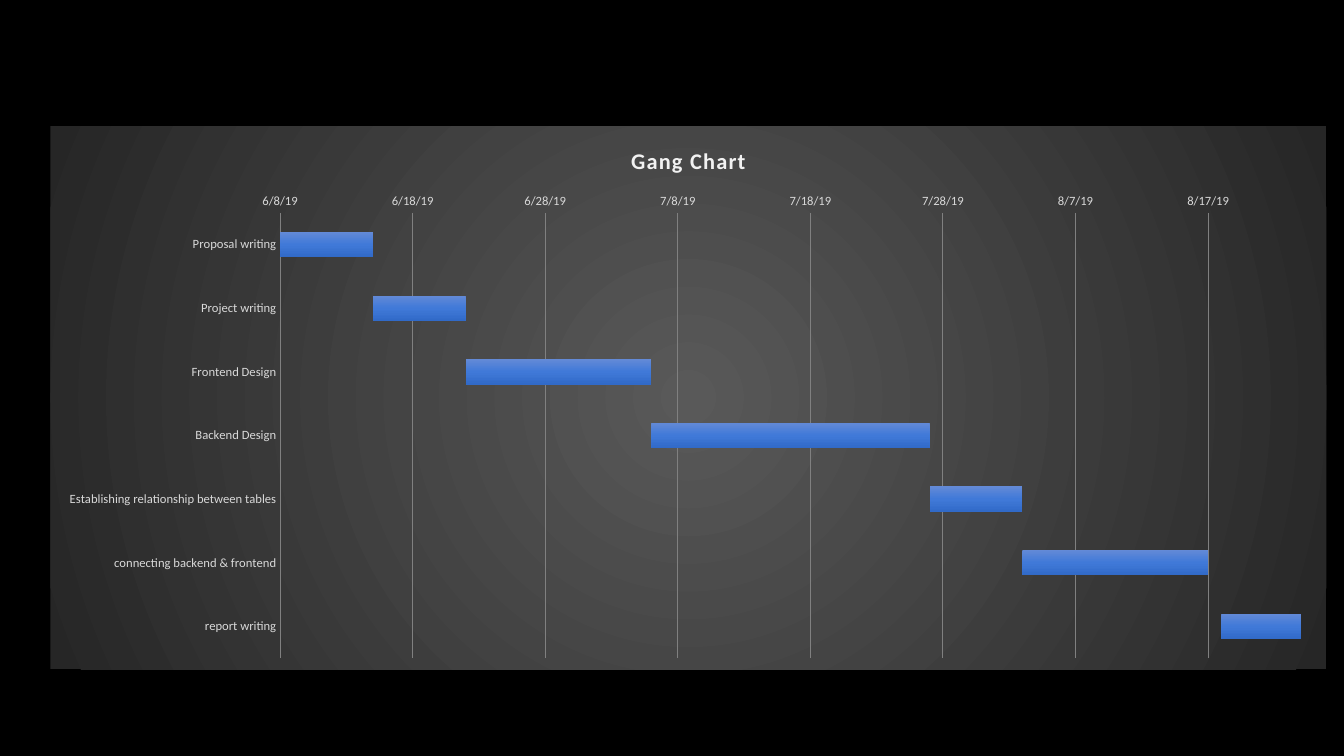
"""Build a slide with a Gantt chart of project tasks on a dark background."""
from lxml.etree import SubElement
from pptx import Presentation
from pptx.chart.data import CategoryChartData
from pptx.dml.color import RGBColor
from pptx.enum.chart import XL_CHART_TYPE, XL_TICK_MARK
from pptx.oxml import parse_xml
from pptx.oxml.ns import nsdecls, qn
from pptx.util import Pt

TITLE = "Gang Chart"
TASKS = [
    ("Proposal writing", 43624, 7),
    ("Project writing", 43631, 7),
    ("Frontend Design", 43638, 14),
    ("Backend Design", 43652, 21),
    ("Establishing relationship between tables", 43673, 7),
    ("connecting backend & frontend", 43680, 14),
    ("report writing", 43695, 7),
]
FIRST_DAY, LAST_DAY, DAY_STEP = 43624, 43701, 10
PLOT_AREA = {"x": 0.18, "y": 0.16, "w": 0.8, "h": 0.82}

FONT = "Calibri"
BLACK = RGBColor(0x00, 0x00, 0x00)
WHITE = RGBColor(0xFF, 0xFF, 0xFF)
TITLE_COLOR = RGBColor(0xF2, 0xF2, 0xF2)
LABEL_COLOR = RGBColor(0xD9, 0xD9, 0xD9)
GRID_COLOR = RGBColor(0x80, 0x80, 0x80)
PANEL_STOPS = [(0, RGBColor(0x59, 0x59, 0x59)), (100, RGBColor(0x26, 0x26, 0x26))]
BAR_STOPS = [
    (0, RGBColor(0x63, 0x8A, 0xD7)),
    (50, RGBColor(0x40, 0x79, 0xD8)),
    (100, RGBColor(0x31, 0x6A, 0xC8)),
]
CIRCULAR = '<a:path path="circle"><a:fillToRect l="50000" t="50000" r="50000" b="50000"/></a:path>'
DOWNWARD = '<a:lin ang="5400000" scaled="0"/>'


def gradient(stops, direction):
    marks = "".join(
        f'<a:gs pos="{percent * 1000}"><a:srgbClr val="{color}"/></a:gs>'
        for percent, color in stops
    )
    return f"<a:gradFill><a:gsLst>{marks}</a:gsLst>{direction}</a:gradFill>"


def shape_properties(fill):
    return parse_xml(f'<c:spPr {nsdecls("c", "a")}>{fill}<a:ln><a:noFill/></a:ln></c:spPr>')


def style_font(font, size, color, bold=False):
    font.name, font.size, font.bold = FONT, Pt(size), bold
    font.color.rgb = color


def style_axis(axis):
    style_font(axis.tick_labels.font, 9, LABEL_COLOR)
    axis.major_tick_mark = axis.minor_tick_mark = XL_TICK_MARK.NONE
    axis.format.line.fill.background()


def place_plot(chart):
    plot_area = chart._chartSpace.chart.plotArea
    for old_layout in plot_area.findall(qn("c:layout")):
        plot_area.remove(old_layout)
    layout = parse_xml(f'<c:layout {nsdecls("c")}><c:manualLayout/></c:layout>')
    settings = {"layoutTarget": "inner", "xMode": "edge", "yMode": "edge", **PLOT_AREA}
    for name, value in settings.items():
        SubElement(layout[0], qn(f"c:{name}")).set("val", str(value))
    plot_area.insert(0, layout)


def add_gantt_chart(slide):
    names, starts, durations = zip(*TASKS)
    data = CategoryChartData()
    data.categories = names
    data.add_series("Series 1", starts)
    data.add_series("Series 2", durations)
    chart = slide.shapes.add_chart(
        XL_CHART_TYPE.BAR_STACKED, Pt(36), Pt(90), Pt(911.5), Pt(388), data
    ).chart
    style_font(chart.font, 10, WHITE)
    chart.has_legend = False
    chart._chartSpace.chart.addnext(shape_properties(gradient(PANEL_STOPS, CIRCULAR)))

    chart.has_title = True
    chart.chart_title.include_in_layout = False
    paragraph = chart.chart_title.text_frame.paragraphs[0]
    paragraph.text = TITLE
    style_font(paragraph.font, 16, TITLE_COLOR, bold=True)
    paragraph.font._element.set("spc", "100")

    plot = chart.plots[0]
    plot.gap_width, plot.overlap, plot.vary_by_categories = 150, 100, False
    start_series, duration_series = plot.series
    start_series.format.fill.background()
    bar_properties = duration_series._element.get_or_add_spPr()
    bar_properties.getparent().replace(
        bar_properties, shape_properties(gradient(BAR_STOPS, DOWNWARD))
    )

    style_axis(chart.category_axis)
    chart.category_axis.reverse_order = True
    dates = chart.value_axis
    style_axis(dates)
    dates.minimum_scale, dates.maximum_scale = FIRST_DAY, LAST_DAY
    dates.major_unit = DAY_STEP
    dates.tick_labels.number_format = "m/d/yy"
    dates.tick_labels.number_format_is_linked = False
    dates.has_major_gridlines = True
    dates.major_gridlines.format.line.color.rgb = GRID_COLOR
    dates.major_gridlines.format.line.width = Pt(0.75)
    place_plot(chart)


def main():
    presentation = Presentation()
    presentation.slide_width, presentation.slide_height = Pt(960), Pt(540)
    slide = presentation.slides.add_slide(presentation.slide_layouts[6])
    slide.background.fill.solid()
    slide.background.fill.fore_color.rgb = BLACK
    add_gantt_chart(slide)
    presentation.save("out.pptx")


if __name__ == "__main__":
    main()
